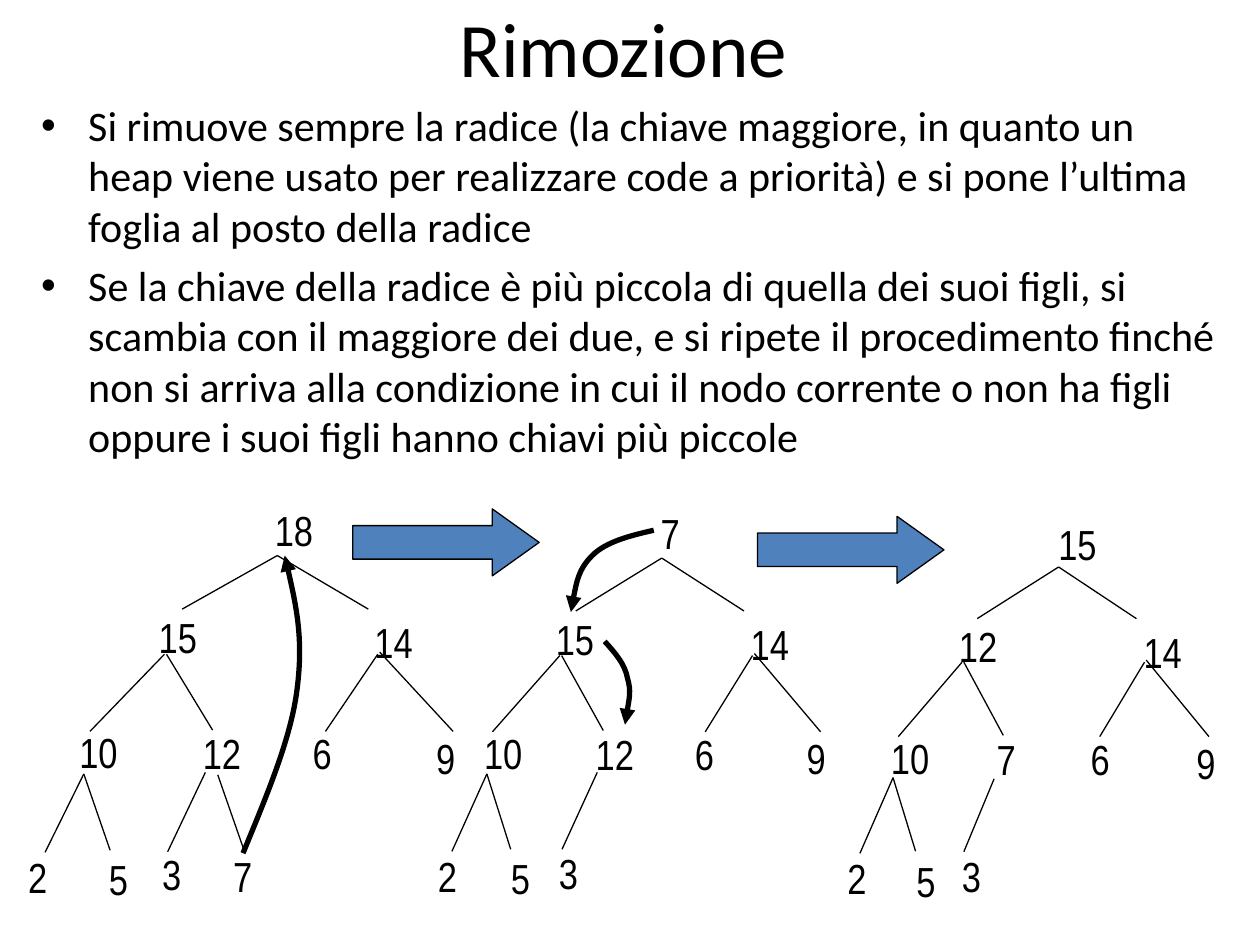
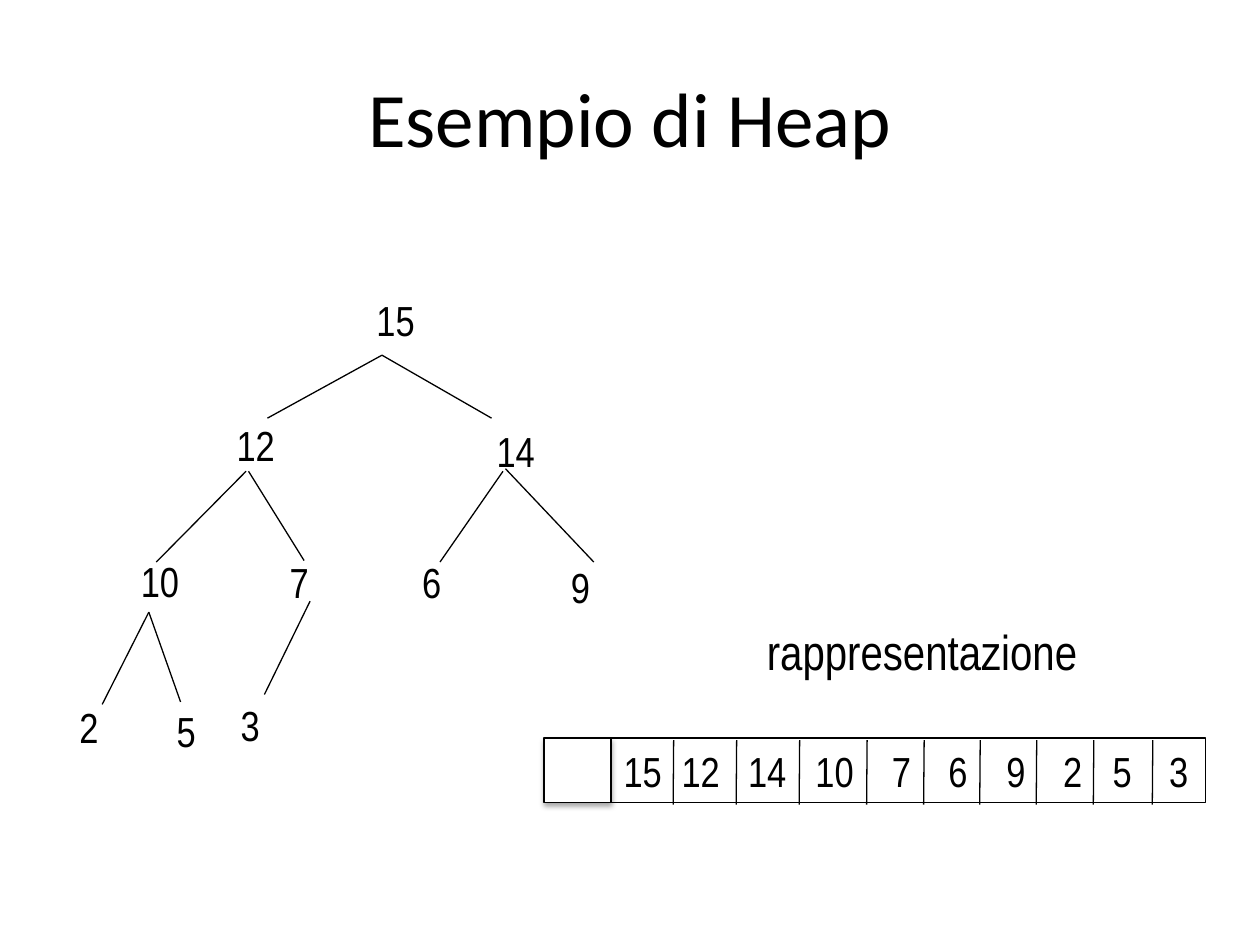
from lxml import etree
from pptx import Presentation
from pptx.dml.color import RGBColor
from pptx.enum.shapes import MSO_CONNECTOR, MSO_SHAPE
from pptx.enum.text import MSO_ANCHOR, PP_ALIGN
from pptx.oxml.ns import qn
from pptx.util import Cm, Pt

COLORS = {"black": "000000", "white": "FFFFFF", "arrow": "4F81BD"}
BLACK = RGBColor.from_string(COLORS["black"])
BODY_FONT, NODE_FONT = "Calibri", "Arial Narrow"


def add_text(shapes, text, x, y, w, h, size=24, font=NODE_FONT, wrap=False):
    tf = shapes.add_textbox(Cm(x), Cm(y), Cm(w), Cm(h)).text_frame
    tf.word_wrap = wrap
    tf.text = text
    for p in tf.paragraphs:
        for r in p.runs:
            r.font.size = Pt(size)
            r.font.name = font
            r.font.color.rgb = BLACK
    return tf


def add_line(shapes, x1, y1, x2, y2):
    c = shapes.add_connector(MSO_CONNECTOR.STRAIGHT, Cm(x1), Cm(y1), Cm(x2), Cm(y2))
    c.line.color.rgb = BLACK
    c.line.width = Pt(0.75)
    etree.SubElement(c._element.spPr, qn("a:effectLst"))


prs = Presentation()
prs.slide_width, prs.slide_height = Cm(25.4), Cm(19.05)
slides = []
for title, x, y, w, h in [
    ("Rimozione", 1.14, 0.1, 22.86, 1.68),
    ("Esempio di Heap", 1.27, 0.76, 22.86, 3.18),
]:
    s = prs.slides.add_slide(prs.slide_layouts[6])
    tf = add_text(s.shapes, title, x, y, w, h, 44, BODY_FONT, True)
    tf.vertical_anchor = MSO_ANCHOR.MIDDLE
    tf.paragraphs[0].alignment = PP_ALIGN.CENTER
    slides.append(s)
removal, example = slides

bullets = [
    "Si rimuove sempre la radice (la chiave maggiore, in quanto un heap viene usato "
    "per realizzare code a priorità) e si pone l’ultima foglia al posto della radice",
    "Se la chiave della radice è più piccola di quella dei suoi figli, si scambia con "
    "il maggiore dei due, e si ripete il procedimento finché non si arriva alla "
    "condizione in cui il nodo corrente o non ha figli oppure i suoi figli hanno "
    "chiavi più piccole",
]
tf = add_text(removal.shapes, "\n".join(bullets), 0.58, 1.88, 24.18, 7.59, 24, BODY_FONT, True)
for p in tf.paragraphs:
    p.space_before = Pt(5)
    pPr = p._p.get_or_add_pPr()
    pPr.set("marL", str(Cm(0.95)))
    pPr.set("indent", str(-Cm(0.95)))
    etree.SubElement(pPr, qn("a:buFont"), typeface="Arial")
    etree.SubElement(pPr, qn("a:buChar"), char="•")

NODES = [
    (-0.36, -1.35), (-3.18, 1.17), (2.06, 1.3), (-5.11, 3.91), (-2.11, 3.94),
    (0.56, 3.94), (3.56, 4.04), (-6.35, 6.86), (-4.39, 6.93), (-3.1, 6.81),
]
BRANCHES = [
    (0, 0, -2.31, 1.27), (0, 0, 2.21, 1.27),
    (-2.69, 2.34, -1.57, 4.14), (-2.74, 2.34, -4.55, 4.17),
    (2.44, 2.34, 1.17, 4.17), (2.49, 2.29, 4.27, 4.17),
    (-4.7, 5.18, -4.06, 6.99), (-4.7, 5.18, -5.64, 7.04),
]
trees = [
    (removal, 5.59, 11.2, 0.83, 0.85, "18 15 14 10 12 6 9 2 5 3",
     [(4.14, 15.57, 3.38, 17.17), (4.39, 15.62, 4.93, 17.17)]),
    (removal, 13.34, 11.25, 0.75, 0.84, "7 15 14 10 12 6 9 2 5 3",
     [(12.04, 15.57, 11.33, 17.12)]),
    (removal, 21.34, 11.43, 0.71, 0.82, "15 12 14 10 7 6 9 2 5 3",
     [(20.04, 15.7, 19.43, 17.17)]),
    (example, 7.7, 7.16, 1, 1, "15 12 14 10 7 6 9 2 5 3",
     [(6.25, 12.12, 5.33, 14)]),
]
for s, x0, y0, kx, ky, keys, last_branches in trees:
    tree = s.shapes.add_group_shape().shapes
    for key, (x, y) in zip(keys.split(), NODES):
        add_text(tree, key, x0 + x * kx, y0 + y * ky, 0.48 + 0.41 * len(key), 1.27)
    for x1, y1, x2, y2 in BRANCHES:
        add_line(tree, x0 + x1 * kx, y0 + y1 * ky, x0 + x2 * kx, y0 + y2 * ky)
    for branch in last_branches:
        add_line(tree, *branch)
    if keys.startswith("18"):
        add_text(tree, "7", 4.45, 17.02, 0.89, 1.27)

for x, y in [(7.11, 10.26), (15.27, 10.41)]:
    sp = removal.shapes.add_shape(MSO_SHAPE.RIGHT_ARROW, Cm(x), Cm(y), Cm(3.76), Cm(1.35))
    sp.adjustments[1] = 0.7
    sp.shadow.inherit = False
    sp.fill.solid()
    sp.fill.fore_color.rgb = RGBColor.from_string(COLORS["arrow"])
    sp.line.color.rgb = BLACK
    sp.line.width = Pt(0.75)

moves = [
    [(4.9, 17.2), (5.38, 16.03), (5.87, 14.88), (5.99, 13.89),
     (6.12, 12.88), (5.94, 12.04), (5.74, 11.2)],
    [(13.18, 10.69), (12.7, 10.8), (12.22, 10.92), (11.94, 11.2),
     (11.66, 11.48), (11.58, 11.91), (11.51, 12.34)],
    [(12.19, 12.93), (12.4, 13.16), (12.6, 13.39), (12.65, 13.67),
     (12.73, 13.94), (12.65, 14.27), (12.6, 14.61)],
]
for points in moves:
    points = [(Cm(x), Cm(y)) for x, y in points]
    fb = removal.shapes.build_freeform(*points[0])
    fb.add_line_segments(points[1:], close=False)
    sp = fb.convert_to_shape()
    sp.shadow.inherit = False
    sp.fill.background()
    sp.line.color.rgb = BLACK
    sp.line.width = Pt(3)
    etree.SubElement(sp.line._get_or_add_ln(), qn("a:tailEnd"), type="triangle")
    path = next(sp._element.iter(qn("a:path")))
    segments = path.findall(qn("a:lnTo"))
    for i in range(0, len(segments), 3):
        curve = etree.SubElement(path, qn("a:cubicBezTo"))
        for segment in segments[i:i + 3]:
            curve.append(segment[0])
            path.remove(segment)

for x, w in [(12.32, 11.99), (10.97, 1.35)]:
    sp = example.shapes.add_shape(MSO_SHAPE.RECTANGLE, Cm(x), Cm(14.88), Cm(w), Cm(1.3))
    sp.shadow.inherit = False
    sp.line.color.rgb = BLACK
    sp.line.width = Pt(0.75)
    if x > 12:
        sp.fill.background()
        tf = sp.text_frame
        tf.word_wrap = True
        tf.text = "\t".join("15 12 14 10 7 6 9 2 5 3".split())
        p = tf.paragraphs[0]
        p.alignment = PP_ALIGN.LEFT
        r = p.runs[0]
        r.font.size, r.font.name = Pt(24), NODE_FONT
        r.font.color.rgb = BLACK
        tabs = etree.SubElement(p._p.get_or_add_pPr(), qn("a:tabLst"))
        for pos in (1.17, 2.51, 3.87, 5.41, 6.55, 7.72, 8.86, 9.86, 11):
            etree.SubElement(tabs, qn("a:tab"), pos=str(Cm(pos)), algn="l")
    else:
        sp.fill.solid()
        sp.fill.fore_color.rgb = RGBColor.from_string(COLORS["white"])
        effects = sp._element.spPr.find(qn("a:effectLst"))
        shadow = etree.SubElement(effects, qn("a:outerShdw"), blurRad=str(Pt(3.1)),
                                  dist=str(Pt(1.8)), dir="5400000", rotWithShape="0")
        color = etree.SubElement(shadow, qn("a:srgbClr"), val=COLORS["black"])
        etree.SubElement(color, qn("a:alpha"), val="35000")

for x in (13.58, 14.85, 16.12, 17.48, 18.63, 19.76, 20.9, 22.05, 23.24):
    add_line(example.shapes, x, 14.92, x - 0.01, 16.22)
add_text(example.shapes, "rappresentazione", 15.21, 12.4, 6.83, 1.45, 28)

prs.save("out.pptx")
